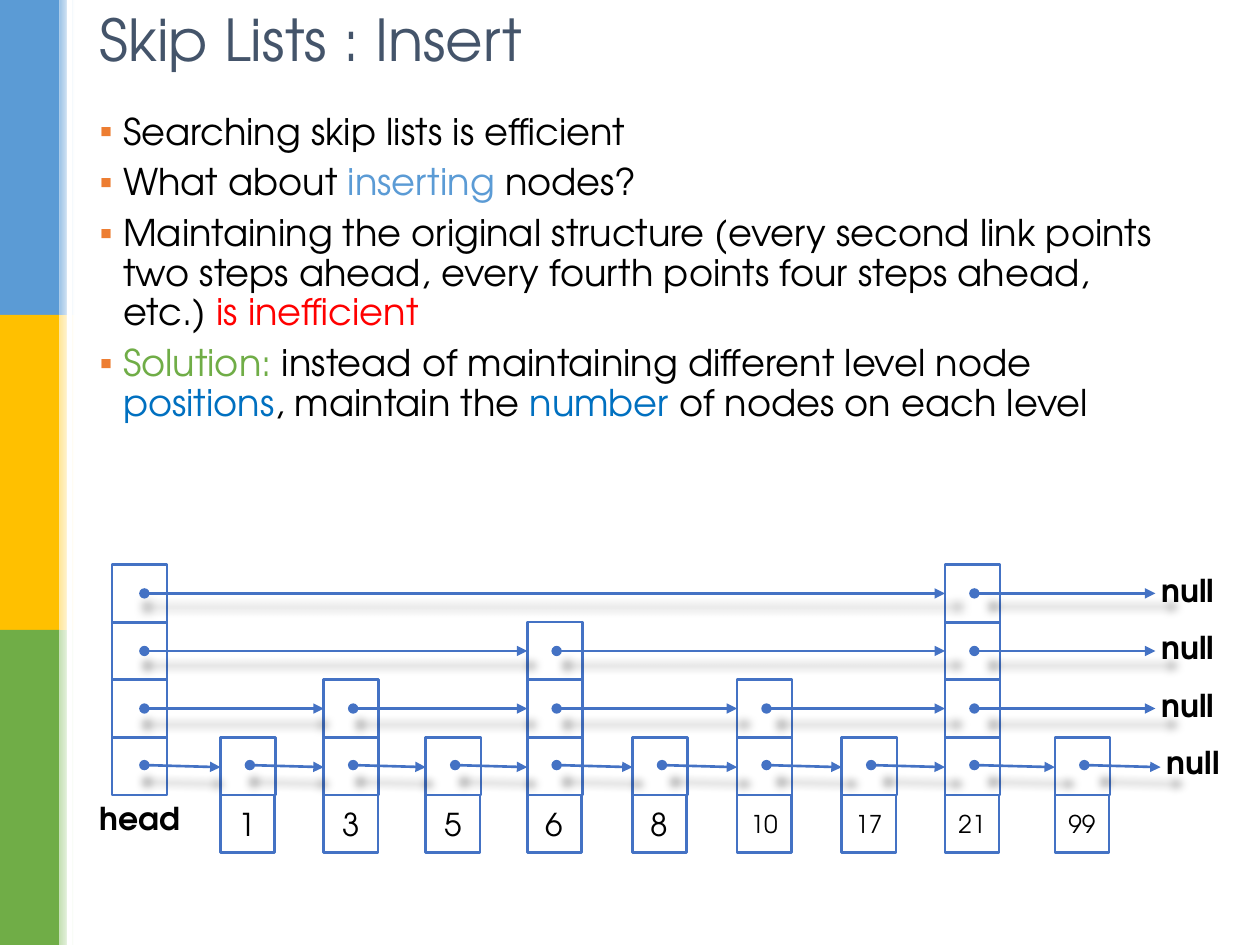
from typing import NamedTuple

from pptx import Presentation
from pptx.dml.color import RGBColor
from pptx.enum.shapes import MSO_CONNECTOR, MSO_SHAPE
from pptx.enum.text import MSO_ANCHOR, MSO_AUTO_SIZE, PP_ALIGN
from pptx.oxml import parse_xml
from pptx.oxml.ns import nsdecls
from pptx.util import Pt

RECT, STRAIGHT = MSO_SHAPE.RECTANGLE, MSO_CONNECTOR.STRAIGHT
MIDDLE, TOP = MSO_ANCHOR.MIDDLE, MSO_ANCHOR.TOP
LEFT, CENTER = PP_ALIGN.LEFT, PP_ALIGN.CENTER
NO_FIT = MSO_AUTO_SIZE.NONE

FONT = "TeX Gyre Adventor"
BLACK = RGBColor(0, 0, 0)
WHITE = RGBColor(255, 255, 255)
SLATE = RGBColor(0x44, 0x54, 0x6A)
SKY = RGBColor(0x5B, 0x9B, 0xD5)
GOLD = RGBColor(0xFF, 0xC0, 0x00)
GREEN = RGBColor(0x70, 0xAD, 0x47)
RED = RGBColor(0xFF, 0, 0)
BLUE = RGBColor(0, 0x70, 0xC0)
NODE_BLUE = RGBColor(0x44, 0x72, 0xC4)
PALE_SKY = RGBColor(0x9D, 0xC3, 0xE6)
PALE_GOLD = RGBColor(0xFF, 0xE6, 0x99)
PALE_GREEN = RGBColor(0xC5, 0xE0, 0xB4)

# Skip list geometry, in points
CELL_W, KEY_W, CELL_H = 31.5, 31, 33
BASE_Y, LEVEL_STEP = 421.3, 32.9
HEAD_X, NULL_X = 64, 656.7
LEVELS = 4


class Node(NamedTuple):
    key: str
    x: float
    height: int


class Band(NamedTuple):
    color: RGBColor
    pale: RGBColor


NODES = [
    Node("1", 126, 1), Node("3", 185, 2), Node("5", 243.3, 1),
    Node("6", 301.3, 3), Node("8", 361.5, 1), Node("10", 421.2, 2),
    Node("17", 481, 1), Node("21", 540, 4), Node("99", 602.8, 1),
]
BANDS = [Band(SKY, PALE_SKY), Band(GOLD, PALE_GOLD), Band(GREEN, PALE_GREEN)]
BULLETS = [
    [("Searching skip lists is efficient", BLACK)],
    [("What about ", BLACK), ("inserting", SKY), (" nodes?", BLACK)],
    [("Maintaining the original structure (every second link points two steps "
      "ahead, every fourth points four steps ahead, etc.) ", BLACK),
     ("is inefficient", RED)],
    [("Solution:", GREEN),
     (" instead of maintaining different level node ", BLACK),
     ("positions", BLUE), (", maintain the ", BLACK), ("number", BLUE),
     (" of nodes on each level", BLACK)],
]


def apply(target, formats: dict) -> None:
    for name, value in formats.items():
        setattr(target, name, value)


def add_run(p, text: str, size: float, color: RGBColor, bold: bool = False):
    r = p.add_run()
    r.text = text
    apply(r.font, {"name": FONT, "size": Pt(size), "bold": bold})
    r.font.color.rgb = color
    return r


def place(sp, x: float, y: float, w: float, h: float) -> None:
    apply(sp, {"left": Pt(x), "top": Pt(y), "width": Pt(w), "height": Pt(h)})


def add_rect(s, x: float, y: float, w: float, h: float, fill: RGBColor):
    sp = s.shapes.add_shape(RECT, Pt(x), Pt(y), Pt(w), Pt(h))
    sp.shadow.inherit = False
    sp.fill.solid()
    sp.fill.fore_color.rgb = fill
    sp.line.fill.background()
    return sp


def add_cell(s, x: float, y: float, w: float = CELL_W, key: str = "") -> None:
    sp = add_rect(s, x, y, w, CELL_H, WHITE)
    sp.line.color.rgb = NODE_BLUE
    sp.line.width = Pt(1.5)
    if key:
        tf = sp.text_frame
        apply(tf, {"margin_left": 0, "margin_right": 0,
                   "vertical_anchor": MIDDLE, "word_wrap": True})
        p = tf.paragraphs[0]
        p.alignment = CENTER
        add_run(p, key, 18 if len(key) == 1 else 14, BLACK)


def add_link(s, x1: float, y1: float, x2: float, y2: float) -> None:
    c = s.shapes.add_connector(STRAIGHT, Pt(x1), Pt(y1), Pt(x2), Pt(y2))
    c.line.color.rgb = NODE_BLUE
    c.line.width = Pt(1.5)
    ln = c.line._get_or_add_ln()
    for tag, kind in (("headEnd", "oval"), ("tailEnd", "triangle")):
        ln.append(parse_xml(f'<a:{tag} {nsdecls("a")} type="{kind}"/>'))
    c._element.spPr.append(parse_xml(
        f'<a:effectLst {nsdecls("a")}><a:outerShdw blurRad="63500" '
        'dist="12700" dir="5400000" sx="102000" sy="102000" algn="ctr" '
        'rotWithShape="0"><a:srgbClr val="000000"><a:alpha val="32000"/>'
        '</a:srgbClr></a:outerShdw></a:effectLst>'))


def add_label(s, text: str, x: float, y: float, w: float) -> None:
    tf = s.shapes.add_textbox(Pt(x), Pt(y), Pt(w), Pt(29)).text_frame
    tf.word_wrap = False
    r = add_run(tf.paragraphs[0], text, 18, BLACK, bold=True)
    r.font._element.insert(0, parse_xml(
        f'<a:ln {nsdecls("a")} w="9525"><a:solidFill>'
        '<a:srgbClr val="DEEBF7"/></a:solidFill></a:ln>'))


def add_bullet(p, runs: list) -> None:
    apply(p, {"line_spacing": 0.9, "space_before": Pt(6.3), "alignment": LEFT})
    pPr = p._p.get_or_add_pPr()
    pPr.set("marL", str(Pt(13.5)))
    pPr.set("indent", str(-Pt(13.5)))
    for xml in ('<a:buClr {}><a:srgbClr val="ED7D31"/></a:buClr>',
                '<a:buFont {} typeface="Arial"/>', '<a:buChar {} char="▪"/>'):
        pPr.append(parse_xml(xml.format(nsdecls("a"))))
    for text, color in runs:
        add_run(p, text, 21, color)


def add_sidebar(s) -> None:
    for i, band in enumerate(BANDS):
        add_rect(s, 0, 180 * i, 34, 180, band.color)
        fade = add_rect(s, 34, 180 * i, 8.5, 180, band.pale).fill
        fade.gradient()
        fade.gradient_angle = 0
        for stop, color in zip(fade.gradient_stops, (band.pale, WHITE)):
            stop.color.rgb = color
    add_rect(s, 38.2, 0, 2.9, 540, WHITE)


def add_level(s, level: int) -> None:
    y = BASE_Y - LEVEL_STEP * level
    xs = [HEAD_X] + [n.x for n in NODES if n.height > level]
    for x in xs:
        add_cell(s, x, y)
    # The bottom row slopes slightly and ends a little further right
    slope, shift = (1.2, 3) if level == 0 else (0, 0)
    mid = y + CELL_H / 2 - slope / 2
    for x, target in zip(xs, xs[1:] + [NULL_X + 3.5 + shift]):
        dot = 18.5 if x == HEAD_X else 16.8
        add_link(s, x + dot, mid, target, mid + slope)
    add_label(s, "null", NULL_X + shift, y, 45.4)


def main() -> None:
    prs = Presentation()
    prs.slide_width, prs.slide_height = Pt(720), Pt(540)
    s = prs.slides.add_slide(prs.slide_layouts[1])
    add_sidebar(s)

    # Title and bullets
    title, body = s.shapes.title, s.placeholders[1]
    place(title, 49.7, 0, 620.6, 49)
    place(body, 49.7, 61.2, 620.6, 386.6)
    for sp, anchor in ((title, MIDDLE), (body, TOP)):
        apply(sp.text_frame, {"auto_size": NO_FIT, "word_wrap": True,
                              "vertical_anchor": anchor})
    p = title.text_frame.paragraphs[0]
    apply(p, {"alignment": LEFT, "line_spacing": 0.9})
    add_run(p, "Skip Lists : Insert", 33, SLATE)
    tf = body.text_frame
    for i, runs in enumerate(BULLETS):
        add_bullet(tf.add_paragraph() if i else tf.paragraphs[0], runs)

    # Skip list: keys, then links from the bottom level up
    for node in NODES:
        add_cell(s, node.x, BASE_Y + CELL_H, KEY_W, node.key)
    add_label(s, "head", 49.7, 453, 62.6)
    for level in range(LEVELS):
        add_level(s, level)

    prs.save("out.pptx")


if __name__ == "__main__":
    main()
